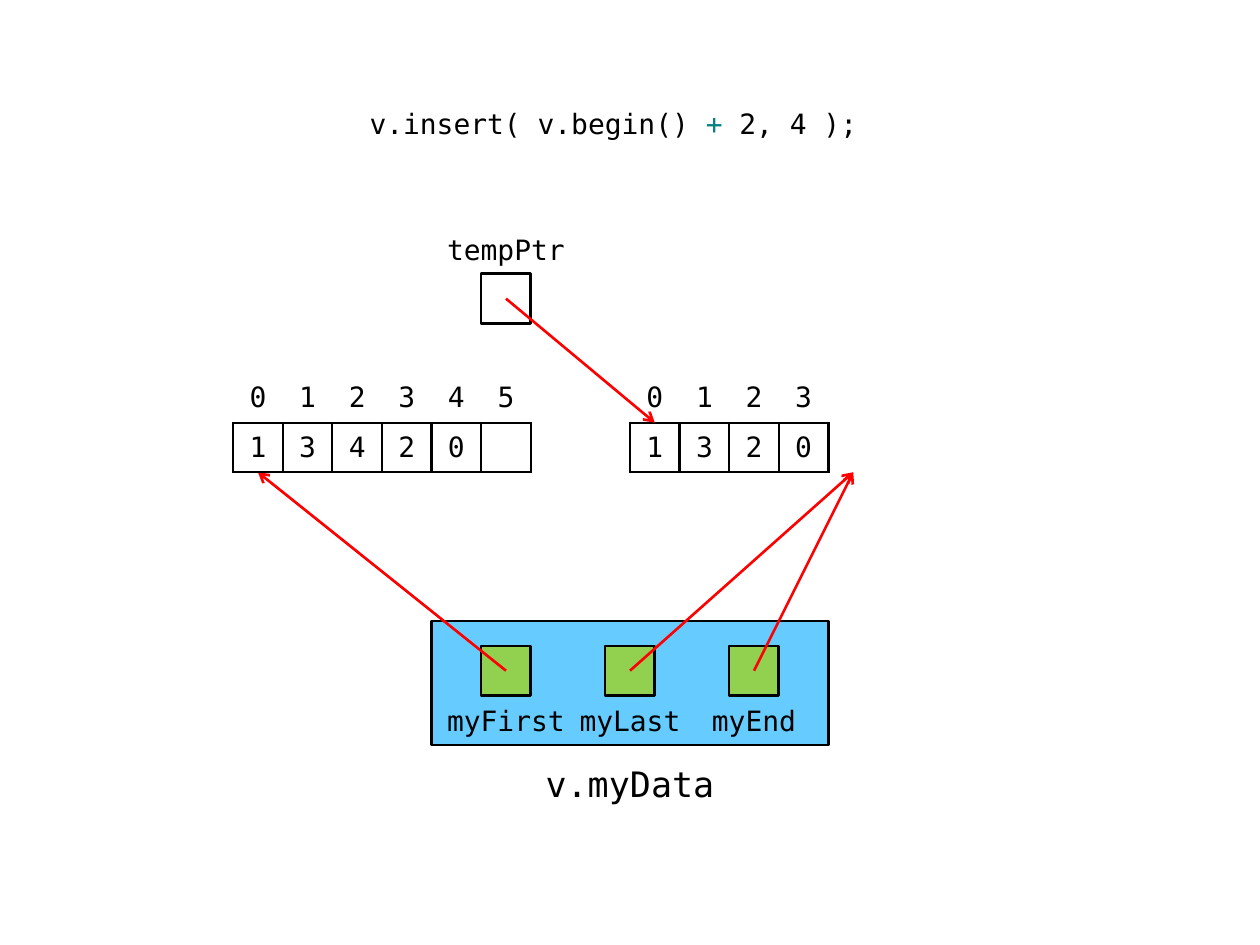
from lxml.etree import SubElement
from pptx import Presentation
from pptx.dml.color import RGBColor
from pptx.enum.shapes import MSO_CONNECTOR, MSO_SHAPE
from pptx.enum.text import MSO_ANCHOR, PP_ALIGN
from pptx.oxml import parse_xml
from pptx.oxml.ns import nsdecls, qn
from pptx.util import Inches, Pt

PX = Inches(1) // 127
FONT = "DejaVu Sans Mono"
BLACK, WHITE, RED, TEAL = "000000", "FFFFFF", "FF0000", "008080"
BLUE, GREEN = "66CCFF", "92D050"
CELL = 50
LABEL_WIDTH = 3 * CELL
ARRAY_TOP = 376
ARRAY_BOTTOM = ARRAY_TOP + 2 * CELL

statement = [("v.insert( v.begin() ", BLACK), ("+", TEAL), (" 2, 4 );", BLACK)]
statement_area = (360, 101, 550, CELL)
new_array = (235, ["1", "3", "4", "2", "0", ""])
old_array = (635, ["1", "3", "2", "0"])
vector_area = (435, 626, 400, 125)
vector_name, vector_name_area = "v.myData", (535, 752, 200, 75)
members = [
    ("myFirst", (260, ARRAY_BOTTOM)),
    ("myLast", (860, ARRAY_BOTTOM)),
    ("myEnd", (860, ARRAY_BOTTOM)),
]
MEMBER_LEFT, MEMBER_STEP, MEMBER_TOP = 485, 125, 651
temp_name, temp_left, temp_top = "tempPtr", 485, 276
temp_target = (660, ARRAY_TOP + CELL)


def px(*lengths):
    return [length * PX for length in lengths]


def color(value):
    return RGBColor.from_string(value)


def style(paragraph, size=16):
    paragraph.alignment = PP_ALIGN.CENTER
    paragraph.font.name = FONT
    paragraph.font.size = Pt(size)
    paragraph.font.color.rgb = color(BLACK)


def add_box(kind, area, fill):
    box = slide.shapes.add_shape(kind, *px(*area))
    box.shadow.inherit = False
    box.fill.solid()
    box.fill.fore_color.rgb = color(fill)
    box.line.color.rgb = color(BLACK)
    box.line.width = Pt(1.5)


def add_label(text, area, size=16):
    frame = slide.shapes.add_textbox(*px(*area)).text_frame
    frame.word_wrap = True
    frame.vertical_anchor = MSO_ANCHOR.MIDDLE
    frame.text = text
    style(frame.paragraphs[0], size)


def add_arrow(start, end):
    arrow = slide.shapes.add_connector(MSO_CONNECTOR.STRAIGHT, *px(*start, *end))
    arrow.line.color.rgb = color(RED)
    arrow.line.width = Pt(1.5)
    SubElement(arrow.line._get_or_add_ln(), qn("a:tailEnd"), type="arrow")
    SubElement(arrow._element.spPr, qn("a:effectLst"))


def set_borders(cell, drawn):
    properties = cell._tc.get_or_add_tcPr()
    for position, side in enumerate("LRTB"):
        paint = f'<a:solidFill><a:srgbClr val="{BLACK}"/></a:solidFill>' if side in drawn else "<a:noFill/>"
        border = parse_xml(f'<a:ln{side} {nsdecls("a")} w="{Pt(1.5)}">{paint}</a:ln{side}>')
        properties.insert(position, border)


def add_array(left, values):
    rows = [[str(index) for index in range(len(values))], values]
    area = px(left, ARRAY_TOP, CELL * len(values), CELL * len(rows))
    table = slide.shapes.add_table(len(rows), len(values), *area).table
    table.first_row = table.horz_banding = False
    for row, (texts, drawn) in enumerate(zip(rows, ("B", "LRTB"))):
        for column, text in enumerate(texts):
            cell = table.cell(row, column)
            cell.text = text
            cell.vertical_anchor = MSO_ANCHOR.MIDDLE
            cell.margin_left = cell.margin_right = Inches(0.06)
            cell.margin_top = cell.margin_bottom = Inches(0.04)
            cell.fill.background()
            set_borders(cell, drawn)
            style(cell.text_frame.paragraphs[0])


def add_pointer(name, left, top, fill, label_top):
    add_box(MSO_SHAPE.RECTANGLE, (left, top, CELL, CELL), fill)
    add_label(name, (left + (CELL - LABEL_WIDTH) // 2, label_top, LABEL_WIDTH, CELL))
    return left + CELL // 2, top + CELL // 2


prs = Presentation()
prs.slide_width, prs.slide_height = Inches(10), Inches(7.5)
slide = prs.slides.add_slide(prs.slide_layouts[6])

statement_frame = slide.shapes.add_textbox(*px(*statement_area)).text_frame
statement_frame.word_wrap = True
code_line = statement_frame.paragraphs[0]
style(code_line)
code_line.alignment = PP_ALIGN.LEFT
for text, text_color in statement:
    run = code_line.add_run()
    run.text = text
    run.font.color.rgb = color(text_color)

add_array(*old_array)
add_box(MSO_SHAPE.FLOWCHART_PROCESS, vector_area, BLUE)
member_centers = [
    add_pointer(name, MEMBER_LEFT + i * MEMBER_STEP, MEMBER_TOP, GREEN, MEMBER_TOP + CELL)
    for i, (name, target) in enumerate(members)
]
for center, (name, target) in zip(member_centers, members):
    add_arrow(center, target)
add_array(*new_array)
temp_center = add_pointer(temp_name, temp_left, temp_top, WHITE, temp_top - CELL)
add_arrow(temp_center, temp_target)
add_label(vector_name, vector_name_area, 20)

prs.save("out.pptx")
